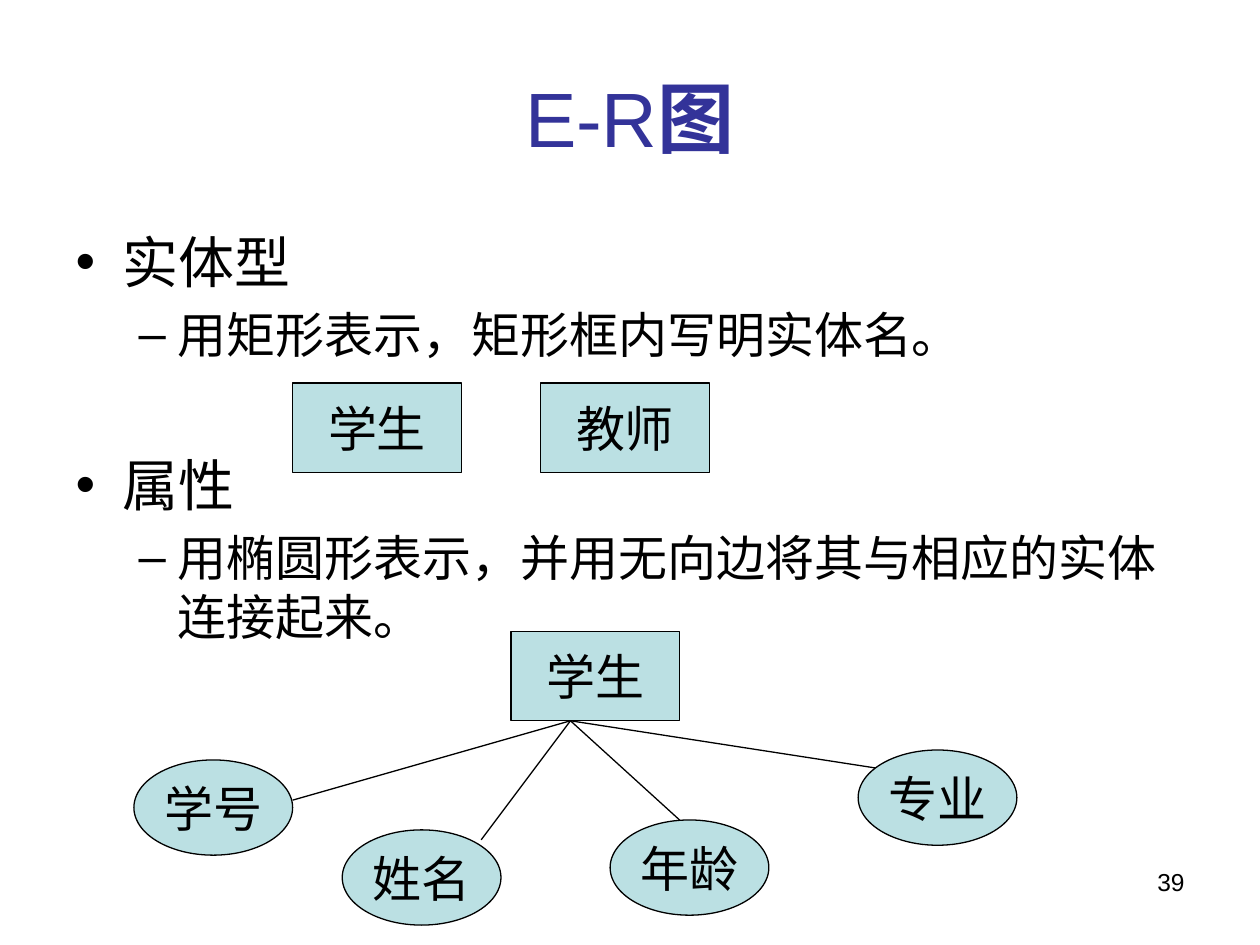
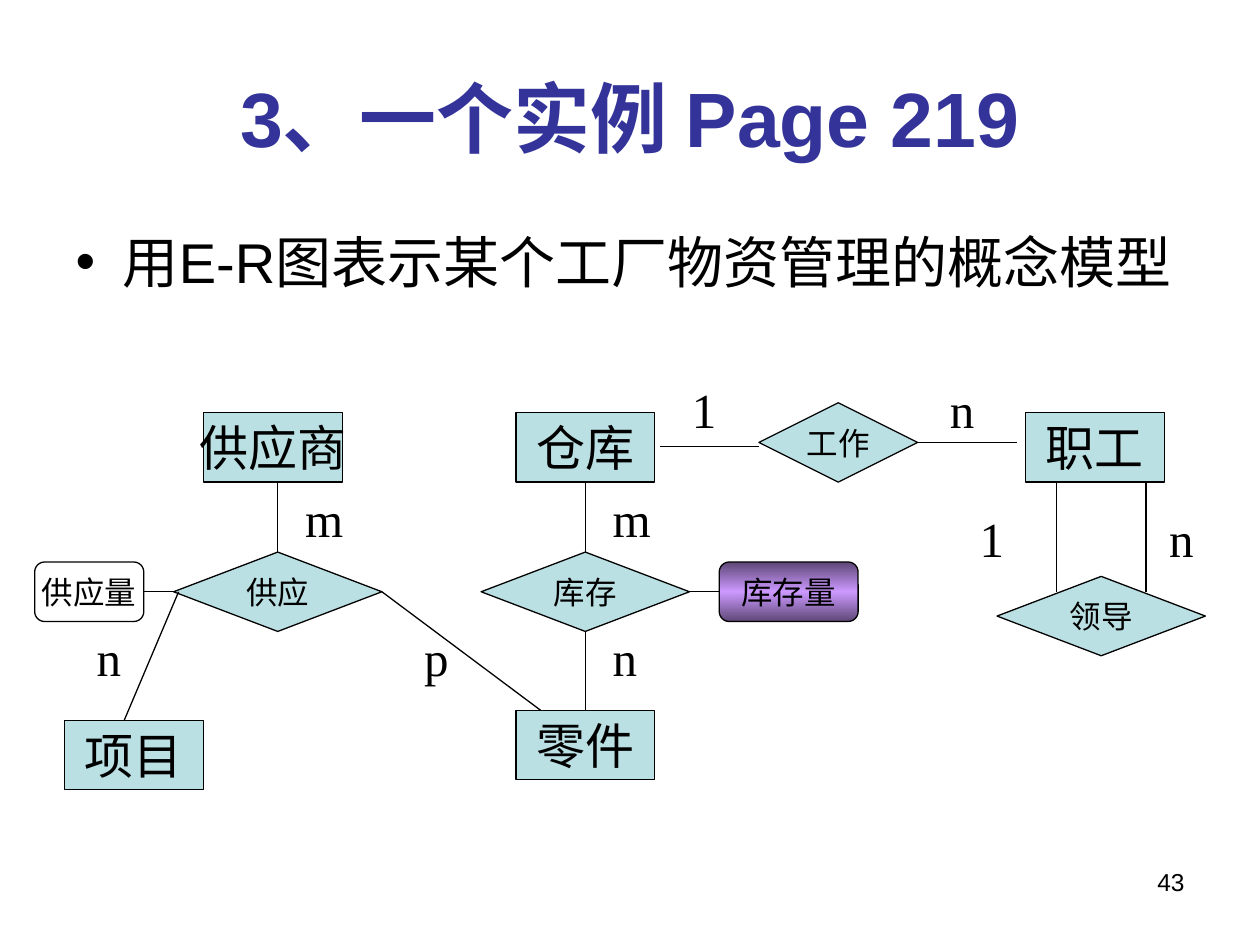
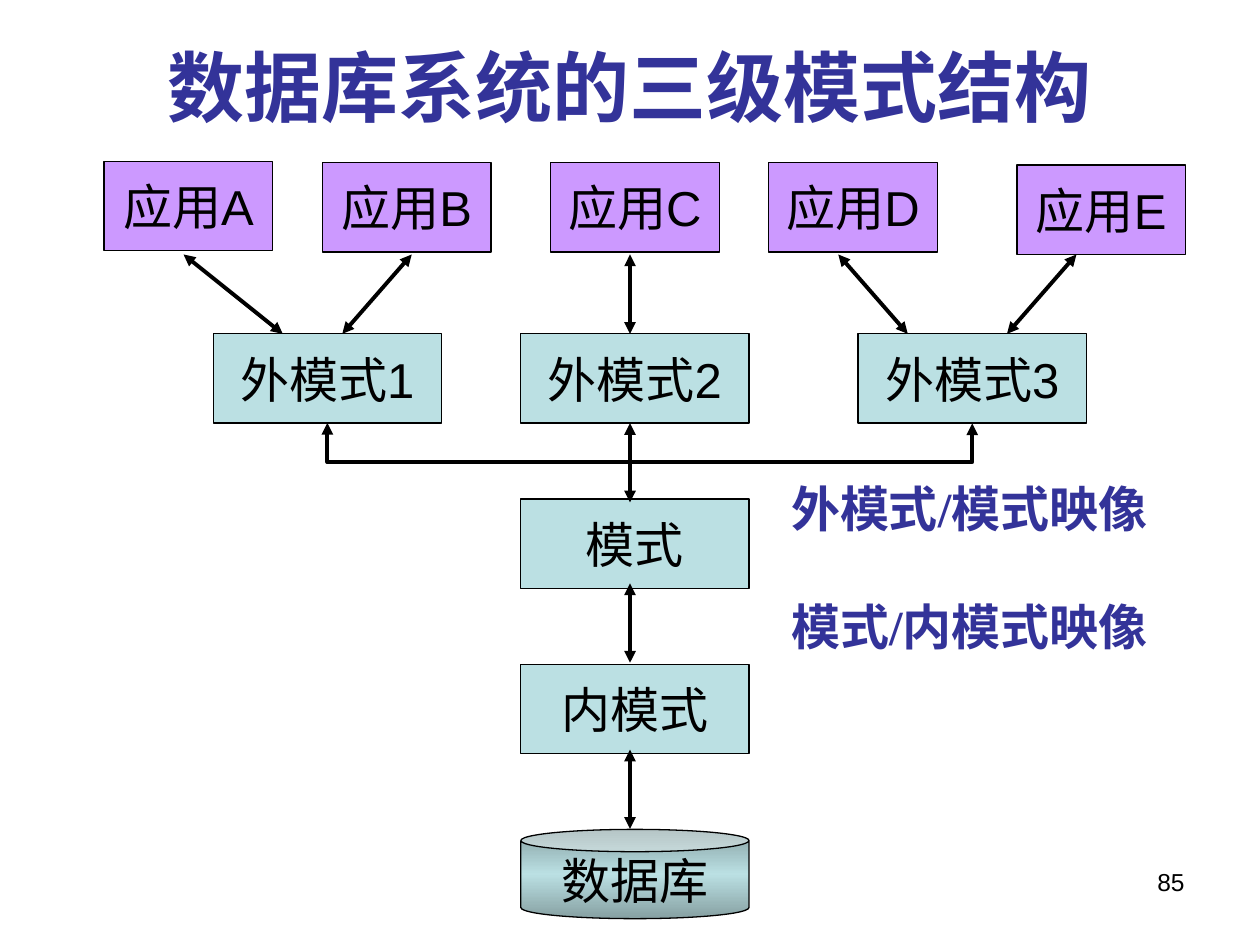
from copy import deepcopy
from dataclasses import dataclass

from lxml.etree import SubElement
from pptx import Presentation
from pptx.dml.color import RGBColor
from pptx.enum.shapes import MSO_CONNECTOR as LINE, MSO_SHAPE as SHAPE
from pptx.enum.text import MSO_ANCHOR, PP_ALIGN
from pptx.oxml.ns import qn
from pptx.util import Cm, Pt


@dataclass(frozen=True)
class Theme:
    sans: str = "Arial"
    serif: str = "Times New Roman"
    black: str = "000000"
    white: str = "FFFFFF"
    navy: str = "333399"
    teal: str = "BBE0E3"
    violet: str = "CC99FF"
    teal_fade: tuple = ("86A0A2", "BBE0E3")
    violet_fade: tuple = ("5E4776", "CC99FF")
    title: int = 44
    body: tuple = (32, 28)
    node: int = 28
    small: int = 18
    number: int = 14
    thin: float = 0.75
    thick: float = 2.25


T = Theme()

TITLE_BOX = (1.27, 0.76, 22.86, 3.18)
HIGH_TITLE_BOX = (1.27, 0.13, 22.86, 3.18)
BODY_BOX = (1.27, 4.45, 22.86, 12.57)
NUMBER_BOX = (18.21, 17.35, 5.92, 1.32)

ER_TITLE = [("E-R", False), ("图", True)]
ER_BODY = [
    (0, "实体型", None),
    (1, "用矩形表示，矩形框内写明实体名。", None),
    (0, "属性", 50),
    (1, "用椭圆形表示，并用无向边将其与相应的实体连接起来。", None),
]
ER_ENTITY_SIZE = (3.4, 1.8)
ER_ENTITIES = [("学生", 5.9, 7.72), ("教师", 10.9, 7.72), ("学生", 10.3, 12.73)]
ER_ATTRIBUTE_SIZE = (3.2, 1.92)
ER_HUB = (11.5, 14.53)
ER_ATTRIBUTES = [
    ("学号", 2.7, 15.32, (5.9, 16.13)),
    ("姓名", 6.9, 16.73, (9.7, 16.93)),
    ("年龄", 12.3, 16.53, (13.7, 16.53)),
    ("专业", 17.3, 15.12, (17.9, 15.52)),
]

FACTORY_TITLE = [("3、一个实例 Page 219", True)]
FACTORY_BODY = [(0, "用E-R图表示某个工厂物资管理的概念模型", None)]
FACTORY_ENTITY_SIZE = (2.8, 1.4)
FACTORY_ENTITIES = [
    ("供应商", 4.1, 8.32), ("仓库", 10.4, 8.32), ("职工", 20.67, 8.32),
    ("项目", 1.3, 14.52), ("零件", 10.4, 14.32),
]
FACTORY_RELATIONS = [
    ("工作", 15.3, 8.12, 3.2), ("领导", 20.1, 11.62, 4.2),
    ("供应", 3.5, 11.13, 4.2), ("库存", 9.7, 11.13, 4.2),
]
RELATION_HEIGHT = 1.6
FACTORY_QUANTITIES = [
    ("供应量", 0.7, 11.33, 2.2, T.white),
    ("库存量", 14.5, 11.33, 2.8, T.violet_fade),
]
QUANTITY_HEIGHT = 1.2
FACTORY_LINES = [
    ((13.3, 9), (15.3, 9)), ((18.5, 8.92), (20.5, 8.92)),
    ((21.3, 9.73), (21.3, 11.93)), ((23.1, 9.73), (23.1, 11.93)),
    ((5.6, 11.13), (5.6, 9.73)), ((3.6, 11.93), (2.5, 14.53)),
    ((7.7, 11.93), (10.9, 14.32)), ((2.9, 11.93), (3.5, 11.93)),
    ((11.8, 11.13), (11.8, 9.73)), ((11.8, 12.73), (11.8, 14.32)),
    ((13.9, 11.93), (14.5, 11.93)),
]
CARDINALITY_SIZE = (1.4, 1.45)
CARDINALITIES = [
    ("1", 13.7, 7.52), ("n", 18.9, 7.52), ("1", 19.5, 10.13), ("n", 23.32, 10.13),
    ("m", 5.9, 9.73), ("n", 1.7, 12.53), ("p", 8.3, 12.53),
    ("m", 12.1, 9.73), ("n", 12.1, 12.53),
]

SCHEMA_TITLE = [("数据库系统的三级模式结构", True)]
APP_SIZE = (3.4, 1.8)
APPS = [
    ("应用A", 2.1, 3.25), ("应用B", 6.5, 3.28), ("应用C", 11.1, 3.28),
    ("应用D", 15.5, 3.28), ("应用E", 20.5, 3.33),
]
SCHEMA_SIZE = (4.6, 1.8)
SCHEMA_TOP, LEVEL_PITCH = 6.73, 3.33
EXTERNAL_SCHEMAS = [("外模式1", 4.3), ("外模式2", 10.5), ("外模式3", 17.3)]
LEVELS_LEFT = 10.5
LEVELS = [
    ("模式", SHAPE.RECTANGLE, T.teal),
    ("内模式", SHAPE.RECTANGLE, T.teal),
    ("数据库", SHAPE.CAN, T.teal_fade),
]
APP_ARROWS = [(3.7, 5.7), (8.3, 6.9), (12.7, 12.7), (16.9, 18.3), (21.7, 20.3)]
AXIS = 12.7
LEVEL_ARROW_TOPS = [8.53, 11.76, 15.11]
ARROW_HEIGHT = 1.6
BUS_LEFT, BUS_RIGHT, BUS_TOP, BUS_DROP = 6.6, 19.6, 8.53, 0.79
MAPPING_SIZE = (8.2, 1.45)
MAPPINGS = [("外模式/模式映像", 15.7, 9.53), ("模式/内模式映像", 15.7, 11.91)]


def cms(*values):
    return [Cm(v) for v in values]


def style(p, size, font=T.sans, color=T.black, bold=None):
    for r in p.runs:
        r.font.size = Pt(size)
        r.font.name = font
        r.font.color.rgb = RGBColor.from_string(color)
        if bold is not None:
            r.font.bold = bold


def place(sp, box):
    sp.left, sp.top, sp.width, sp.height = cms(*box)


def paint(fill, color):
    if isinstance(color, str):
        fill.solid()
        fill.fore_color.rgb = RGBColor.from_string(color)
        return
    edge, middle = color
    fill.gradient()
    fill.gradient_angle = 90
    first, second = fill.gradient_stops
    first.position, second.position = 0, 0.5
    first.color.rgb = RGBColor.from_string(edge)
    second.color.rgb = RGBColor.from_string(middle)
    stops = fill._fill._gradFill.find(qn("a:gsLst"))
    last = deepcopy(stops[0])
    last.set("pos", "100000")
    stops.append(last)


def add_node(s, kind, text, box, fill=T.teal, size=T.node, font=T.serif):
    sp = s.shapes.add_shape(kind, *cms(*box))
    sp.shadow.inherit = False
    paint(sp.fill, fill)
    sp.line.color.rgb = RGBColor.from_string(T.black)
    sp.line.width = Pt(T.thin)
    tf = sp.text_frame
    tf.word_wrap = False
    tf.vertical_anchor = MSO_ANCHOR.MIDDLE
    tf.text = text
    p = tf.paragraphs[0]
    p.alignment = PP_ALIGN.CENTER
    style(p, size, font)
    return sp


def add_label(s, text, box, size=T.node, font=T.serif, color=T.black, bold=None,
              align=PP_ALIGN.LEFT):
    tf = s.shapes.add_textbox(*cms(*box)).text_frame
    tf.word_wrap = True
    tf.text = text
    p = tf.paragraphs[0]
    p.alignment = align
    style(p, size, font, color, bold)


def add_line(s, start, end, width=T.thin, arrows=False, kind=LINE.STRAIGHT):
    c = s.shapes.add_connector(kind, *cms(*start, *end))
    c.line.color.rgb = RGBColor.from_string(T.black)
    c.line.width = Pt(width)
    if arrows:
        ln = c.line._get_or_add_ln()
        for tag in ("a:headEnd", "a:tailEnd"):
            SubElement(ln, qn(tag), type="triangle")
    SubElement(c._element.spPr, qn("a:effectLst"))
    return c


def add_bus(s):
    span, flat = BUS_RIGHT - BUS_LEFT, 0.01
    middle = (BUS_LEFT + BUS_RIGHT) / 2
    left, top = middle - flat / 2, BUS_TOP - span / 2
    c = add_line(s, (left, top), (left + flat, top + span), T.thick, True, LINE.ELBOW)
    xfrm = c._element.spPr.find(qn("a:xfrm"))
    xfrm.set("rot", str(270 * 60000))
    xfrm.set("flipH", "1")
    geom = c._element.spPr.find(qn("a:prstGeom"))
    guides = geom.find(qn("a:avLst"))
    if guides is None:
        guides = SubElement(geom, qn("a:avLst"))
    SubElement(guides, qn("a:gd"), name="adj1", fmla=f"val {round(BUS_DROP / flat * 100000)}")


def add_slide(prs, title, number, body=None, title_box=TITLE_BOX):
    s = prs.slides.add_slide(prs.slide_layouts[1 if body else 5])
    place(s.shapes.title, title_box)
    p = s.shapes.title.text_frame.paragraphs[0]
    p.alignment = PP_ALIGN.CENTER
    for text, bold in title:
        r = p.add_run()
        r.text = text
        r.font.bold = bold
    style(p, T.title, color=T.navy)
    if body:
        fill_body(s.placeholders[1], body)
    add_label(s, number, NUMBER_BOX, T.number, T.sans, align=PP_ALIGN.RIGHT)
    return s


def fill_body(sp, items):
    place(sp, BODY_BOX)
    tf = sp.text_frame
    for i, (level, text, gap) in enumerate(items):
        p = tf.add_paragraph() if i else tf.paragraphs[0]
        p.text = text
        p.level = level
        if gap:
            p.space_before = Pt(gap)
        style(p, T.body[level])


def build_er(prs):
    s = add_slide(prs, ER_TITLE, "39", ER_BODY)
    for text, x, y in ER_ENTITIES:
        add_node(s, SHAPE.RECTANGLE, text, (x, y, *ER_ENTITY_SIZE))
    for text, x, y, end in ER_ATTRIBUTES:
        add_line(s, ER_HUB, end)
        add_node(s, SHAPE.OVAL, text, (x, y, *ER_ATTRIBUTE_SIZE))


def build_factory(prs):
    s = add_slide(prs, FACTORY_TITLE, "43", FACTORY_BODY)
    for text, x, y in FACTORY_ENTITIES:
        add_node(s, SHAPE.RECTANGLE, text, (x, y, *FACTORY_ENTITY_SIZE))
    for text, x, y, w in FACTORY_RELATIONS:
        add_node(s, SHAPE.FLOWCHART_DECISION, text, (x, y, w, RELATION_HEIGHT), size=T.small)
    for text, x, y, w, fill in FACTORY_QUANTITIES:
        add_node(s, SHAPE.ROUNDED_RECTANGLE, text, (x, y, w, QUANTITY_HEIGHT), fill, T.small)
    for start, end in FACTORY_LINES:
        add_line(s, start, end)
    for text, x, y in CARDINALITIES:
        add_label(s, text, (x, y, *CARDINALITY_SIZE))


def build_schema(prs):
    s = add_slide(prs, SCHEMA_TITLE, "85", title_box=HIGH_TITLE_BOX)
    for text, x, y in APPS:
        add_node(s, SHAPE.RECTANGLE, text, (x, y, *APP_SIZE), T.violet, font=T.sans)
    for text, x in EXTERNAL_SCHEMAS:
        add_node(s, SHAPE.RECTANGLE, text, (x, SCHEMA_TOP, *SCHEMA_SIZE), font=T.sans)
    for i, (text, kind, fill) in enumerate(LEVELS, 1):
        y = SCHEMA_TOP + i * LEVEL_PITCH
        add_node(s, kind, text, (LEVELS_LEFT, y, *SCHEMA_SIZE), fill, font=T.sans)
    for app_x, schema_x in APP_ARROWS:
        add_line(s, (app_x, SCHEMA_TOP - ARROW_HEIGHT), (schema_x, SCHEMA_TOP), T.thick, True)
    for y in LEVEL_ARROW_TOPS:
        add_line(s, (AXIS, y), (AXIS, y + ARROW_HEIGHT), T.thick, True)
    add_bus(s)
    for text, x, y in MAPPINGS:
        add_label(s, text, (x, y, *MAPPING_SIZE), color=T.navy, bold=True)


def main():
    prs = Presentation()
    prs.slide_width, prs.slide_height = cms(25.4, 19.05)
    build_er(prs)
    build_factory(prs)
    build_schema(prs)
    prs.save("out.pptx")


if __name__ == "__main__":
    main()
